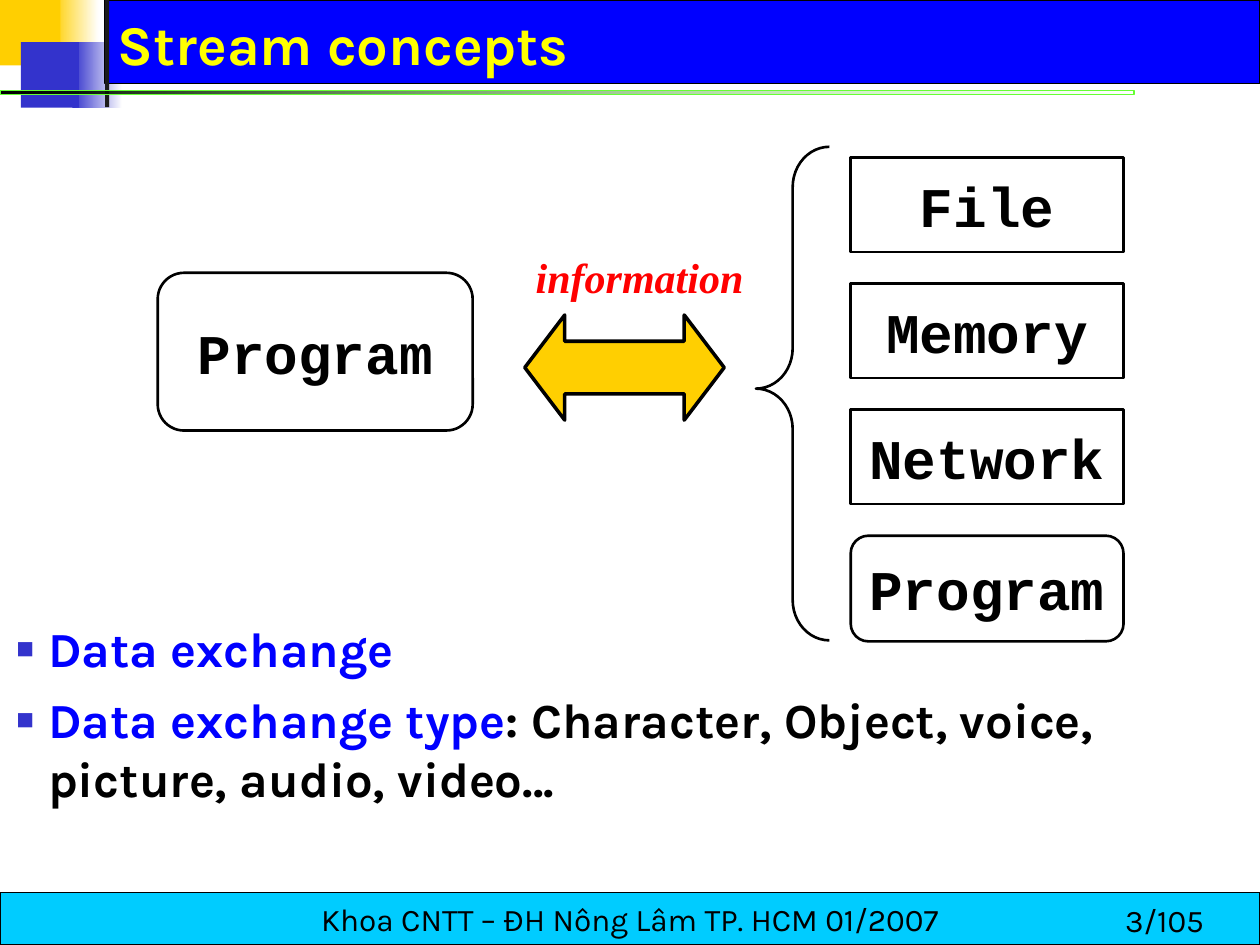
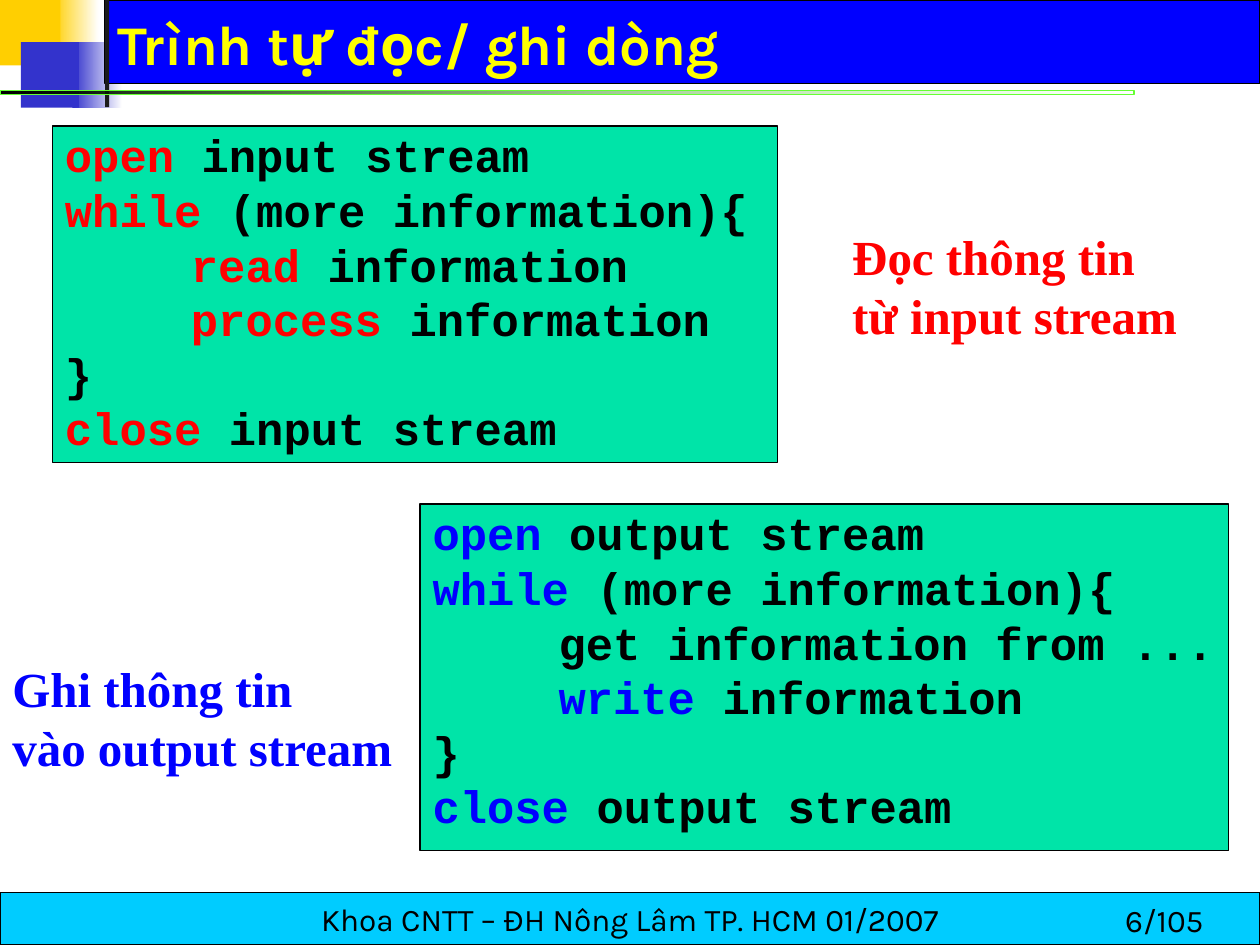
from lxml.etree import SubElement
from pptx import Presentation
from pptx.dml.color import RGBColor
from pptx.enum.shapes import MSO_SHAPE
from pptx.enum.text import MSO_ANCHOR, MSO_AUTO_SIZE, PP_ALIGN
from pptx.oxml.ns import qn
from pptx.util import Cm, Pt

# Colours and fonts
BLACK = RGBColor(0x00, 0x00, 0x00)
WHITE = RGBColor(0xFF, 0xFF, 0xFF)
BLUE = RGBColor(0x00, 0x00, 0xFF)
RED = RGBColor(0xFF, 0x00, 0x00)
YELLOW = RGBColor(0xFF, 0xFF, 0x00)
GOLD = RGBColor(0xFF, 0xCF, 0x01)
INDIGO = RGBColor(0x33, 0x33, 0xCC)
CHARCOAL = RGBColor(0x1C, 0x1C, 0x1C)
LIME = RGBColor(0x66, 0xFF, 0x33)
CYAN = RGBColor(0x00, 0xCC, 0xFF)
MINT = RGBColor(0x00, 0xE4, 0xA8)
SANS, MONO, SERIF = "Karla", "Courier New", "Times New Roman"

# Shared content
FOOTER = "Khoa CNTT – ĐH Nông Lâm TP. HCM 01/2007"
PAGE_COUNT = 105

# Stream concepts: content
CONCEPTS_TITLE = "Stream concepts"
PROGRAM = "Program"
ENDPOINTS = [  # label, outline, height
    ("File", MSO_SHAPE.RECTANGLE, 1.9),
    ("Memory", MSO_SHAPE.RECTANGLE, 1.9),
    ("Network", MSO_SHAPE.RECTANGLE, 1.9),
    (PROGRAM, MSO_SHAPE.ROUNDED_RECTANGLE, 2.13),
]
FLOW = "information"
EXCHANGE_POINTS = [
    [("Data exchange", BLUE)],
    [("Data exchange type", BLUE),
     (": Character, Object, voice, picture, audio, video...", BLACK)],
]

# Reading and writing: content, code lines as (level, keyword, rest)
SEQUENCE_TITLE = "Trình tự đọc/ ghi dòng"
SEQUENCES = [
    {"accent": RED, "code_at": (1.06, 2.54, 14.61, 6.78), "note_at": (16.93, 4.45, 7.41, 2.65),
     "note": ["Đọc thông tin", "từ input stream"],
     "code": [(0, "open", " input stream"),
              (0, "while", " (more information){"),
              (1, "read", " information"),
              (1, "process", " information"),
              (0, "", "}"),
              (0, "close", " input stream")]},
    {"accent": BLUE, "code_at": (8.47, 10.16, 16.3, 6.99), "note_at": (0, 13.16, 8.47, 2.65),
     "note": ["Ghi thông tin", "vào output stream"],
     "code": [(0, "open", " output stream"),
              (0, "while", " (more information){"),
              (1, "", "get information from ..."),
              (1, "write", " information"),
              (0, "", "}"),
              (0, "close", " output stream")]},
]


def write(frame, lines, size, font, bold=True, italic=False, align=PP_ALIGN.LEFT):
    """Fill a text frame; each line is a list of (text, colour)."""
    for number, line in enumerate(lines):
        paragraph = frame.add_paragraph() if number else frame.paragraphs[0]
        paragraph.alignment = align
        for text, colour in line:
            run = paragraph.add_run()
            run.text = text
            run.font.size, run.font.name = Pt(size), font
            run.font.bold, run.font.italic = bold, italic
            run.font.color.rgb = colour


def draw(slide, outline, at, fill=None, line=None, width=0.75):
    """Add a preset shape; a list as fill is a left-to-right gradient."""
    shape = slide.shapes.add_shape(outline, *map(Cm, at))
    shape.shadow.inherit = False
    if fill is None:
        shape.fill.background()
    elif isinstance(fill, list):
        shape.fill.gradient()
        shape.fill.gradient_angle = 0
        for stop, colour in zip(shape.fill.gradient_stops, fill):
            stop.color.rgb = colour
    else:
        shape.fill.solid()
        shape.fill.fore_color.rgb = fill
    if line is None:
        shape.line.fill.background()
    else:
        shape.line.color.rgb = line
        shape.line.width = Pt(width)
    return shape


def label(slide, at, lines, size, font, inset=True, **style):
    frame = slide.shapes.add_textbox(*map(Cm, at)).text_frame
    frame.word_wrap = True
    if not inset:
        clear_margins(frame)
    write(frame, lines, size, font, **style)


def clear_margins(frame):
    frame.margin_left = frame.margin_right = frame.margin_top = frame.margin_bottom = 0


def place(slide, placeholder, at):
    """Move a placeholder to a spot in front of the bands."""
    placeholder.left, placeholder.top, placeholder.width, placeholder.height = map(Cm, at)
    slide.shapes._spTree.append(placeholder._element)
    frame = placeholder.text_frame
    frame.auto_size = MSO_AUTO_SIZE.NONE
    frame.word_wrap = True
    return frame


def start_slide(deck, layout, title, page):
    """Add a slide with the corner squares, bands, footer and title."""
    slide = deck.slides.add_slide(deck.slide_layouts[layout])
    bar = MSO_SHAPE.RECTANGLE

    # Corner squares and title band
    draw(slide, bar, (1.06, 0, 0.93, 1.32), [GOLD, WHITE])
    draw(slide, bar, (1.46, 0.85, 1.01, 1.32), [INDIGO, WHITE])
    draw(slide, bar, (2.12, 0, 23.28, 1.69), BLUE, BLACK)
    draw(slide, bar, (0, 0, 1.22, 1.32), GOLD)
    draw(slide, bar, (0.42, 0.85, 1.17, 1.32), INDIGO)
    draw(slide, bar, (2.12, 0, 0.08, 2.16), CHARCOAL)
    rule = draw(slide, bar, (0, 1.83, 22.86, 0.08), [BLACK, LIME], LIME, 0)
    faded = rule._element.spPr.findall(".//" + qn("a:gs"))[-1][0]
    SubElement(faded, qn("a:alpha"), val="0")

    # Footer and page number
    footer = draw(slide, bar, (0, 17.99, 25.4, 1.06), CYAN, BLACK).text_frame
    footer.word_wrap = False
    footer.vertical_anchor = MSO_ANCHOR.MIDDLE
    write(footer, [[(FOOTER, BLACK)]], 18, SANS, bold=False, align=PP_ALIGN.CENTER)
    label(slide, (22.43, 18.03, 2.97, 1), [[(f"{page}/{PAGE_COUNT}", BLACK)]],
          18, SANS, bold=False)

    # Title
    heading = place(slide, slide.shapes.title, (2.12, 0.2, 22.7, 1.48))
    heading.vertical_anchor = MSO_ANCHOR.BOTTOM
    write(heading, [[(title, YELLOW)]], 32, SANS)
    return slide


def draw_node(slide, text, outline, at):
    node = draw(slide, outline, at, line=BLACK, width=1.5)
    frame = node.text_frame
    frame.word_wrap = False
    frame.vertical_anchor = MSO_ANCHOR.MIDDLE
    write(frame, [[(text, BLACK)]], 32, MONO, align=PP_ALIGN.CENTER)


def add_bullets(paragraph):
    paragraph.space_before = Pt(7)
    props = paragraph._p.get_or_add_pPr()
    props.set("marL", str(Cm(0.97)))
    props.set("indent", str(-Cm(0.64)))
    SubElement(SubElement(props, qn("a:buClr")), qn("a:srgbClr"), val=str(INDIGO))
    SubElement(props, qn("a:buSzPct"), val="60000")
    SubElement(props, qn("a:buFont"), typeface="Arial")
    SubElement(props, qn("a:buChar"), char="■")


def build_concepts(deck):
    slide = start_slide(deck, 1, CONCEPTS_TITLE, 3)

    # Program, arrow and endpoints
    draw_node(slide, PROGRAM, MSO_SHAPE.ROUNDED_RECTANGLE, (3.18, 5.5, 6.35, 3.18))
    for row, (text, outline, height) in enumerate(ENDPOINTS):
        draw_node(slide, text, outline, (17.15, 3.18 + row * 2.54, 5.5, height))
    brace = draw(slide, MSO_SHAPE.LEFT_BRACE, (15.24, 2.96, 1.48, 9.95), line=BLACK, width=1.5)
    brace.adjustments[0], brace.adjustments[1] = 0.55, 0.49
    arrow = draw(slide, MSO_SHAPE.LEFT_RIGHT_ARROW, (10.58, 6.35, 4.02, 2.12), GOLD, BLACK, 2)
    arrow.adjustments[0], arrow.adjustments[1] = 0.5, 0.38
    label(slide, (10.8, 5.08, 4.45, 1.02), [[(FLOW, RED)]], 24, SERIF,
          inset=False, italic=True)

    # Bullet list
    points = place(slide, slide.placeholders[1], (0, 12.47, 25.4, 4.75))
    clear_margins(points)
    write(points, EXCHANGE_POINTS, 28, SANS)
    for paragraph in points.paragraphs:
        add_bullets(paragraph)


def build_sequences(deck):
    slide = start_slide(deck, 5, SEQUENCE_TITLE, 6)
    for sequence in SEQUENCES:
        accent, code = sequence["accent"], sequence["code"]

        # Code panel
        panel = draw(slide, MSO_SHAPE.RECTANGLE, sequence["code_at"], MINT, BLACK).text_frame
        panel.word_wrap = True
        panel.vertical_anchor = MSO_ANCHOR.TOP
        panel.margin_top = Cm(0.03)
        lines = [[(text, colour) for text, colour in ((keyword, accent), (rest, BLACK)) if text]
                 for _, keyword, rest in code]
        write(panel, lines, 26, MONO)
        for paragraph, (level, _, _) in zip(panel.paragraphs, code):
            paragraph._p.get_or_add_pPr().set("marL", str(Cm(2.54 * level)))

        # Note beside the panel
        label(slide, sequence["note_at"], [[(text, accent)] for text in sequence["note"]],
              28, SERIF)


def main():
    deck = Presentation()
    deck.slide_width, deck.slide_height = Cm(25.4), Cm(19.05)
    build_concepts(deck)
    build_sequences(deck)
    deck.save("out.pptx")


if __name__ == "__main__":
    main()
